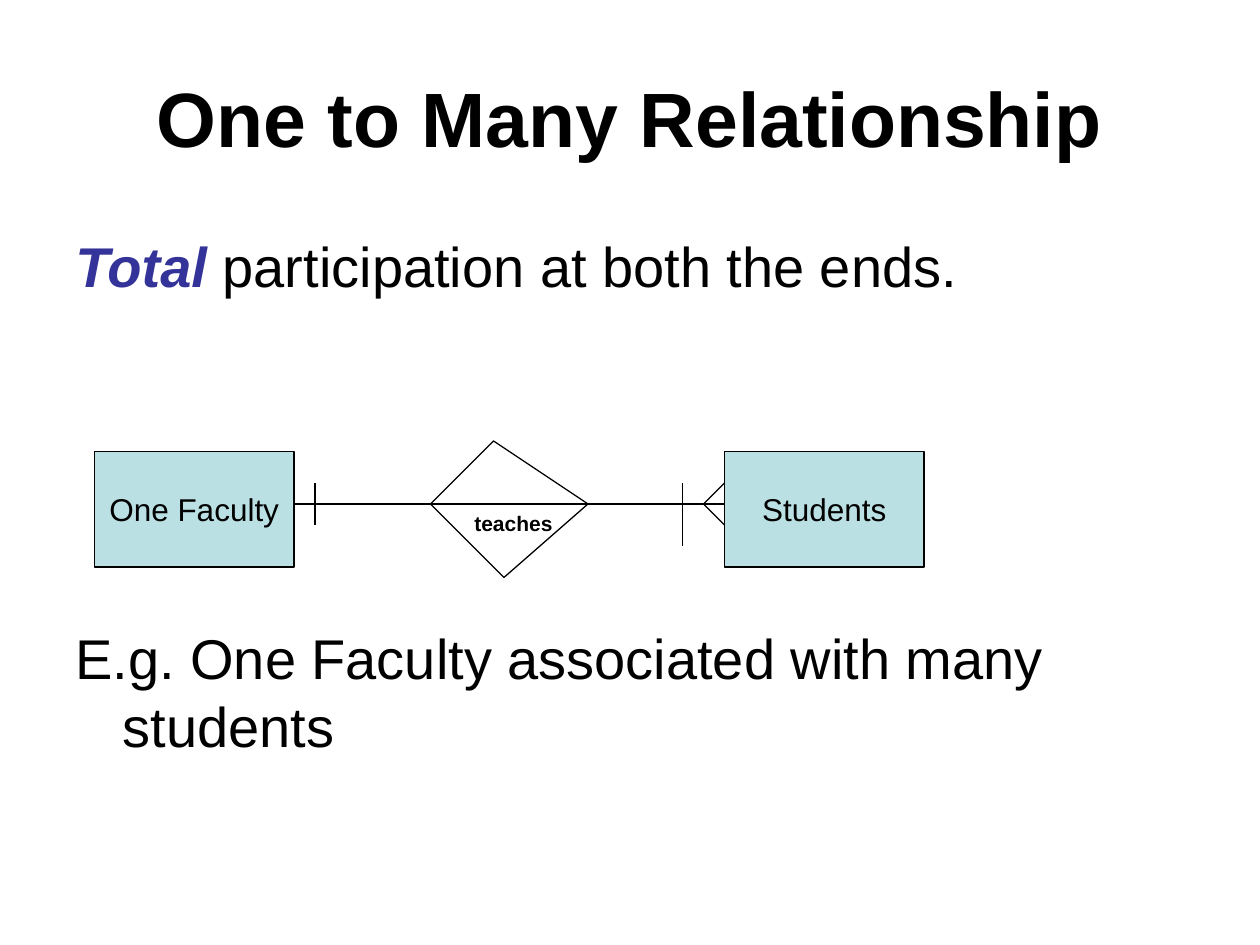
from lxml import etree
from pptx import Presentation
from pptx.dml.color import RGBColor
from pptx.enum import shapes, text
from pptx.oxml import ns
from pptx.util import Pt

COLORS = {"ink": "000000", "accent": "333399", "entity": "BBE0E3"}
FONT = "Arial"
LINE_WIDTH = Pt(0.75)


def color(name):
    return RGBColor.from_string(COLORS[name])


def add_run(p, words, size=32, bold=False, italic=False, ink="ink"):
    r = p.add_run()
    r.text = words
    r.font.name, r.font.size = FONT, Pt(size)
    r.font.bold, r.font.italic = bold, italic
    r.font.color.rgb = color(ink)


def set_line(s):
    s.line.color.rgb = color("ink")
    s.line.width = LINE_WIDTH


def add_line(slide, x1, y1, x2, y2):
    s = slide.shapes.add_connector(
        shapes.MSO_CONNECTOR.STRAIGHT, Pt(x1), Pt(y1), Pt(x2), Pt(y2))
    set_line(s)
    etree.SubElement(s._element.spPr, ns.qn("a:effectLst"))


def add_title(slide, x, y, w, h):
    s = slide.shapes.title
    s.left, s.top, s.width, s.height = Pt(x), Pt(y), Pt(w), Pt(h)
    tf = s.text_frame
    tf.auto_size = text.MSO_AUTO_SIZE.NONE
    tf.vertical_anchor = text.MSO_ANCHOR.MIDDLE
    p = tf.paragraphs[0]
    p.alignment = text.PP_ALIGN.CENTER
    add_run(p, "One to Many Relationship", size=44, bold=True)


def add_text(slide, x, y, w, h, runs, hanging=0):
    """Text box with one paragraph of (words, format) runs."""
    s = slide.shapes.add_textbox(Pt(x), Pt(y), Pt(w), Pt(h))
    s.text_frame.word_wrap = True
    p = s.text_frame.paragraphs[0]
    if hanging:
        pPr = p._p.get_or_add_pPr()
        pPr.set("marL", str(Pt(hanging)))
        pPr.set("indent", str(-Pt(hanging)))
    for words, style in runs:
        add_run(p, words, **style)


def add_entity(slide, x, y, w, h, name):
    s = slide.shapes.add_shape(
        shapes.MSO_SHAPE.RECTANGLE, Pt(x), Pt(y), Pt(w), Pt(h))
    s.shadow.inherit = False
    s.fill.solid()
    s.fill.fore_color.rgb = color("entity")
    set_line(s)
    tf = s.text_frame
    tf.word_wrap = False
    tf.vertical_anchor = text.MSO_ANCHOR.MIDDLE
    p = tf.paragraphs[0]
    p.alignment = text.PP_ALIGN.CENTER
    add_run(p, name, size=18)


def add_relationship(slide, x, y, w, h, name):
    """Slightly skewed diamond with its name below the middle line."""
    mid = y + 36
    corners = [(x + 36, y), (x, mid), (x + 42, y + h), (x + w, mid)]
    points = [(Pt(px), Pt(py)) for px, py in corners]
    builder = slide.shapes.build_freeform(*points[0], scale=1.0)
    builder.add_line_segments(points[1:], close=True)
    s = builder.convert_to_shape()
    s.shadow.inherit = False
    s.fill.background()
    set_line(s)
    add_text(slide, x + 18, mid, 60, 21.6, [(name, dict(size=12, bold=True))])


def add_diagram(slide, x, y, w, h):
    entity_w, entity_h = 114, 66
    top, axis = y + 6, y + 36
    left, right = x + entity_w, x + w - entity_w

    # Entities and the line between them
    add_entity(slide, x, top, entity_w, entity_h, "One Faculty")
    add_line(slide, left, axis, right, axis)
    add_entity(slide, right, top, entity_w, entity_h, "Students")

    # Crow's foot and participation bars
    for dy in (12, -12):
        add_line(slide, right - 12, axis, right, axis + dy)
    for bar_x, below in ((right - 24, 24), (left + 12, 12)):
        add_line(slide, bar_x, axis - 12, bar_x, axis + below)

    add_relationship(slide, left + 78, y, 90, h, "teaches")


def main():
    prs = Presentation()
    prs.slide_width, prs.slide_height = Pt(720), Pt(540)
    slide = prs.slides.add_slide(prs.slide_layouts[5])

    add_title(slide, 36, 21.6, 648, 90)
    # Statement above the diagram, example below it
    add_text(slide, 36, 129, 648, 44, [
        ("Total", dict(bold=True, italic=True, ink="accent")),
        (" participation at both the ends.", {})], hanging=27)
    add_text(slide, 36, 353, 648, 84, [
        ("E.g. One Faculty associated with many students", {})], hanging=27)
    add_diagram(slide, 54, 252, 474, 78)

    prs.save("out.pptx")


if __name__ == "__main__":
    main()
